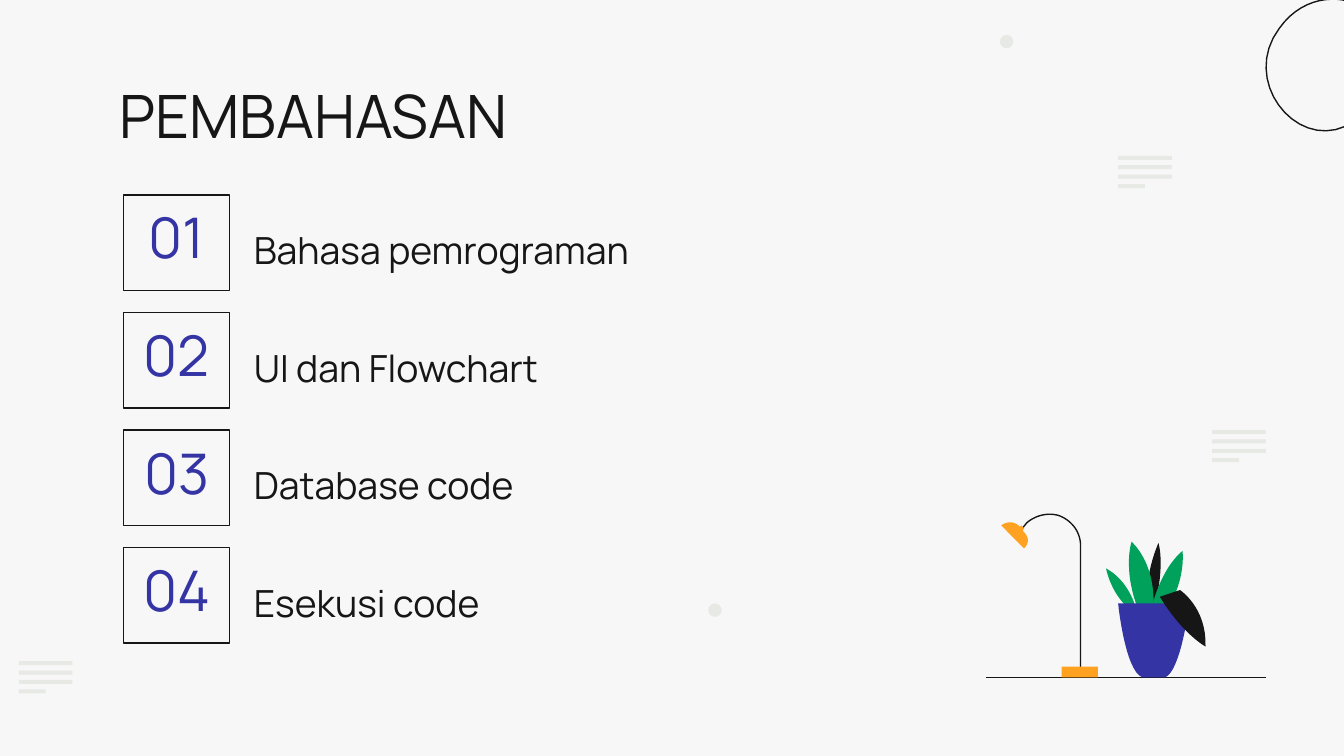
from lxml.etree import SubElement
from pptx import Presentation
from pptx.dml.color import RGBColor
from pptx.enum.shapes import MSO_CONNECTOR, MSO_SHAPE
from pptx.enum.text import MSO_ANCHOR, PP_ALIGN
from pptx.oxml.ns import qn
from pptx.util import Inches, Pt

FONT = "Manrope"
INK, BLUE, GREEN, ORANGE = "161616", "3434A4", "00A15B", "FFA221"
PALE, PAPER = "E7E9E4", "F7F7F7"

TITLE = "PEMBAHASAN"
TOPICS = ["Bahasa pemrograman", "UI dan Flowchart", "Database code", "Esekusi code"]
TOPIC_TOP, TOPIC_PITCH = 1.45, 0.875

DOTS = [(7.44, 0.26), (5.27, 4.49)]
NOTES = [(0.14, 4.92), (9.02, 3.2), (8.32, 1.16)]
NOTE_WIDTHS, NOTE_PITCH = [0.4, 0.4, 0.4, 0.2], 0.07

# Outlines: a start point, then lines (x, y) and curves (x1, y1, x2, y2, x, y)
RING = [(10.15, 0.07), (10.03, -0.04, 9.71, -0.06, 9.52, 0.21),
        (9.23, 0.59, 9.63, 1.11, 10.01, 0.94)]
PLANT = [
    (INK, [(8.59, 4.52), (8.59, 4.52, 8.67, 4.23, 8.62, 4.04),
           (8.62, 4.04, 8.52, 4.25, 8.53, 4.52)]),
    (GREEN, [(8.67, 4.56), (8.67, 4.56, 8.82, 4.35, 8.8, 4.1),
             (8.8, 4.1, 8.64, 4.21, 8.56, 4.56)]),
    (GREEN, [(8.58, 4.54), (8.58, 4.54, 8.62, 4.23, 8.42, 4.03),
             (8.42, 4.03, 8.35, 4.23, 8.47, 4.54)]),
    (GREEN, [(8.45, 4.52), (8.45, 4.52, 8.4, 4.32, 8.23, 4.23),
             (8.23, 4.23, 8.26, 4.4, 8.39, 4.52)]),
    (BLUE, [(8.85, 4.49), (8.85, 4.49, 8.79, 4.99, 8.67, 5.04), (8.5, 5.04),
            (8.37, 4.99, 8.32, 4.49, 8.32, 4.49)]),
    (INK, [(8.78, 4.39), (8.78, 4.39, 8.98, 4.52, 8.97, 4.81),
           (8.97, 4.81, 8.8, 4.72, 8.63, 4.44)]),
]
LAMP_ARM = [(8.04, 5.04), (8.04, 4.06), (8.04, 3.96, 7.98, 3.88, 7.89, 3.84),
            (7.81, 3.81, 7.71, 3.83, 7.64, 3.89), (7.6, 3.94)]
LAMP_SHADE = [(7.59, 3.92), (7.6, 3.91), (7.62, 3.93), (7.61, 3.95),
              (7.69, 4.02, 7.62, 4.08, 7.62, 4.08), (7.45, 3.91),
              (7.45, 3.91, 7.52, 3.85, 7.59, 3.92)]


def rgb(code):
    return RGBColor.from_string(code)


def paint(s, fill=None, line=None):
    s.shadow.inherit = False
    if fill:
        s.fill.solid()
        s.fill.fore_color.rgb = rgb(fill)
    else:
        s.fill.background()
    if line:
        s.line.color.rgb = rgb(line)
        s.line.width = Pt(0.75)
    else:
        s.line.fill.background()
    return s


def add_shape(kind, x, y, w, h, **look):
    return paint(slide.shapes.add_shape(kind, *map(Inches, (x, y, w, h))), **look)


def flatten(outline, steps=16):
    """Turn lines and Bezier curves into a list of points."""
    points = [outline[0]]
    for seg in outline[1:]:
        if len(seg) == 2:
            points.append(seg)
            continue
        ctrl = [points[-1], seg[:2], seg[2:4], seg[4:]]
        for i in range(1, steps + 1):
            t = i / steps
            weights = ((1 - t) ** 3, 3 * t * (1 - t) ** 2, 3 * t * t * (1 - t), t ** 3)
            points.append(tuple(sum(k * c[axis] for k, c in zip(weights, ctrl))
                                for axis in (0, 1)))
    return [(Inches(x), Inches(y)) for x, y in points]


def add_outline(outline, **look):
    start, *rest = flatten(outline)
    builder = slide.shapes.build_freeform(*start)
    builder.add_line_segments(rest, close="fill" in look)
    return paint(builder.convert_to_shape(), **look)


def write(s, text, size, color, bottom=0.1, spacing=None,
          align=PP_ALIGN.LEFT, anchor=MSO_ANCHOR.TOP):
    tf = s.text_frame
    tf.word_wrap = True
    tf.vertical_anchor = anchor
    tf.margin_left = tf.margin_right = tf.margin_top = Inches(0.1)
    tf.margin_bottom = Inches(bottom)
    p = tf.paragraphs[0]
    p.text = text
    p.alignment = align
    p.line_spacing = spacing
    p.font.name, p.font.size = FONT, Pt(size)
    p.font.color.rgb = rgb(color)


def add_text(x, y, w, h, *args, **style):
    write(slide.shapes.add_textbox(*map(Inches, (x, y, w, h))), *args, **style)


prs = Presentation()
prs.slide_width = Inches(10)
prs.slide_height = prs.slide_width * 9 // 16
slide = prs.slides.add_slide(prs.slide_layouts[6])
slide.background.fill.solid()
slide.background.fill.fore_color.rgb = rgb(PAPER)

add_outline(RING, line=INK)
for x, y in DOTS:
    add_shape(MSO_SHAPE.OVAL, x, y, 0.1, 0.1, fill=PALE)
for x, y in NOTES:
    for row, width in enumerate(NOTE_WIDTHS):
        add_shape(MSO_SHAPE.RECTANGLE, x, y + row * NOTE_PITCH, width, 0.03, fill=PALE)

add_text(0.79, 0.49, 8.43, 0.63, TITLE, 32, INK)
for i, topic in enumerate(TOPICS):
    y = TOPIC_TOP + i * TOPIC_PITCH
    box = add_shape(MSO_SHAPE.RECTANGLE, 0.92, y, 0.79, 0.71, line=INK)
    write(box, f"{i + 1:02}", 30, BLUE, bottom=0.15, spacing=1.15,
          align=PP_ALIGN.CENTER, anchor=MSO_ANCHOR.BOTTOM)
    add_text(1.79, y + 0.09, 7.42, 0.54, topic, 20, INK, spacing=1.15)

floor = slide.shapes.add_connector(
    MSO_CONNECTOR.STRAIGHT, *map(Inches, (7.34, 5.04, 9.42, 5.04)))
floor.line.color.rgb = rgb(INK)
floor.line.width = Pt(0.75)
SubElement(floor._element.spPr, qn("a:effectLst"))
for color, outline in PLANT:
    add_outline(outline, fill=color)
add_outline(LAMP_ARM, line=INK)
add_outline(LAMP_SHADE, fill=ORANGE)
add_shape(MSO_SHAPE.RECTANGLE, 7.9, 4.96, 0.27, 0.08, fill=ORANGE)

prs.save("out.pptx")
